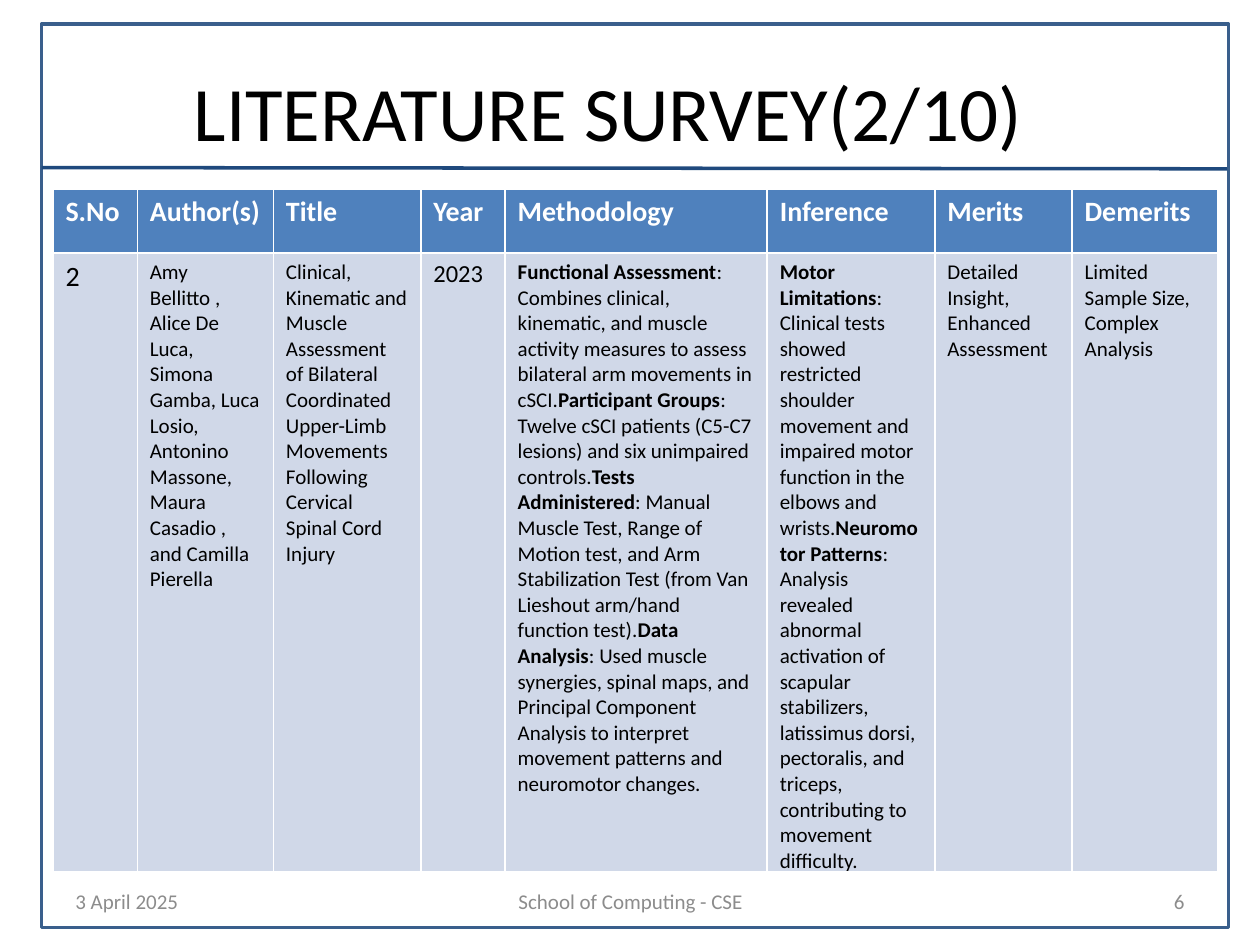
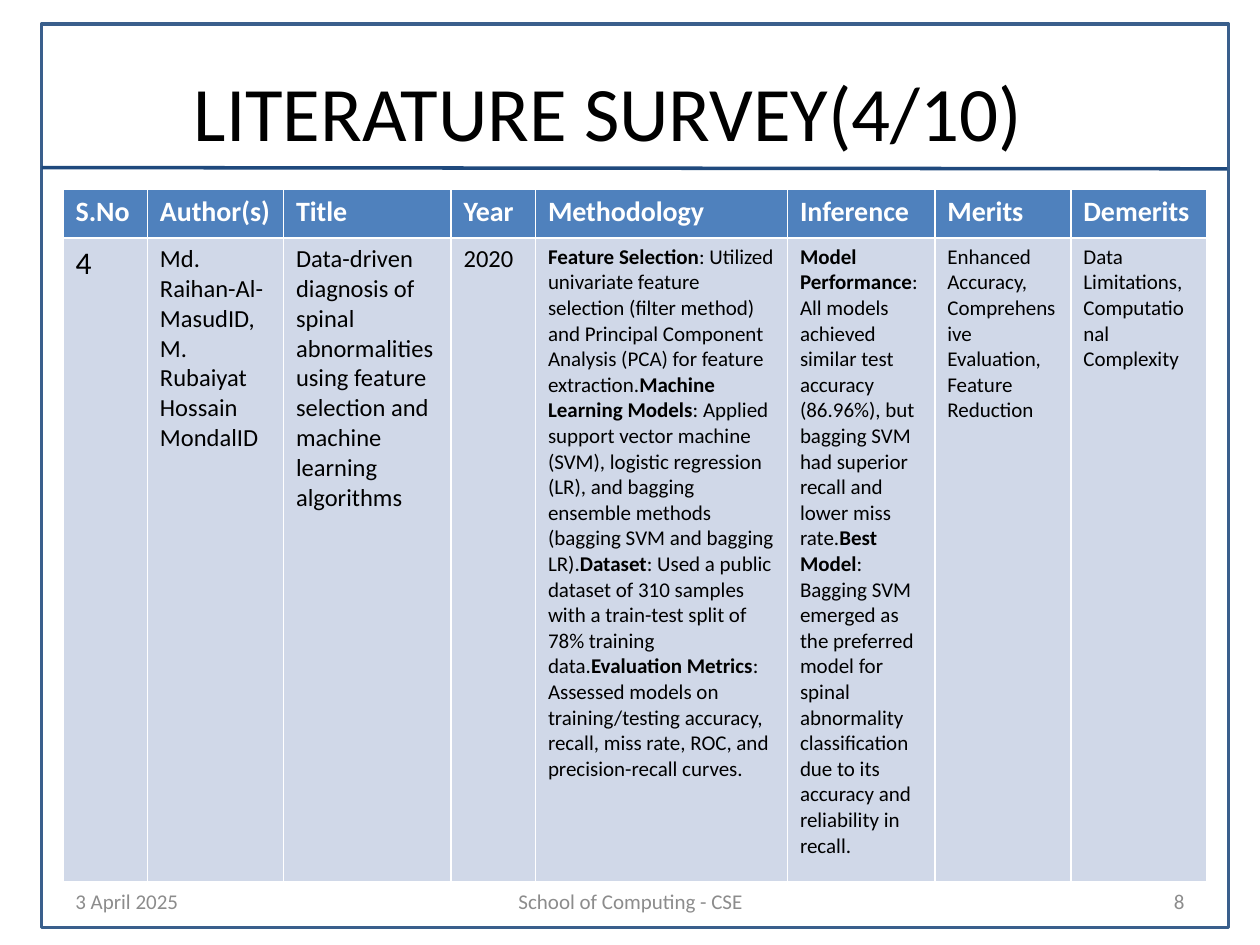
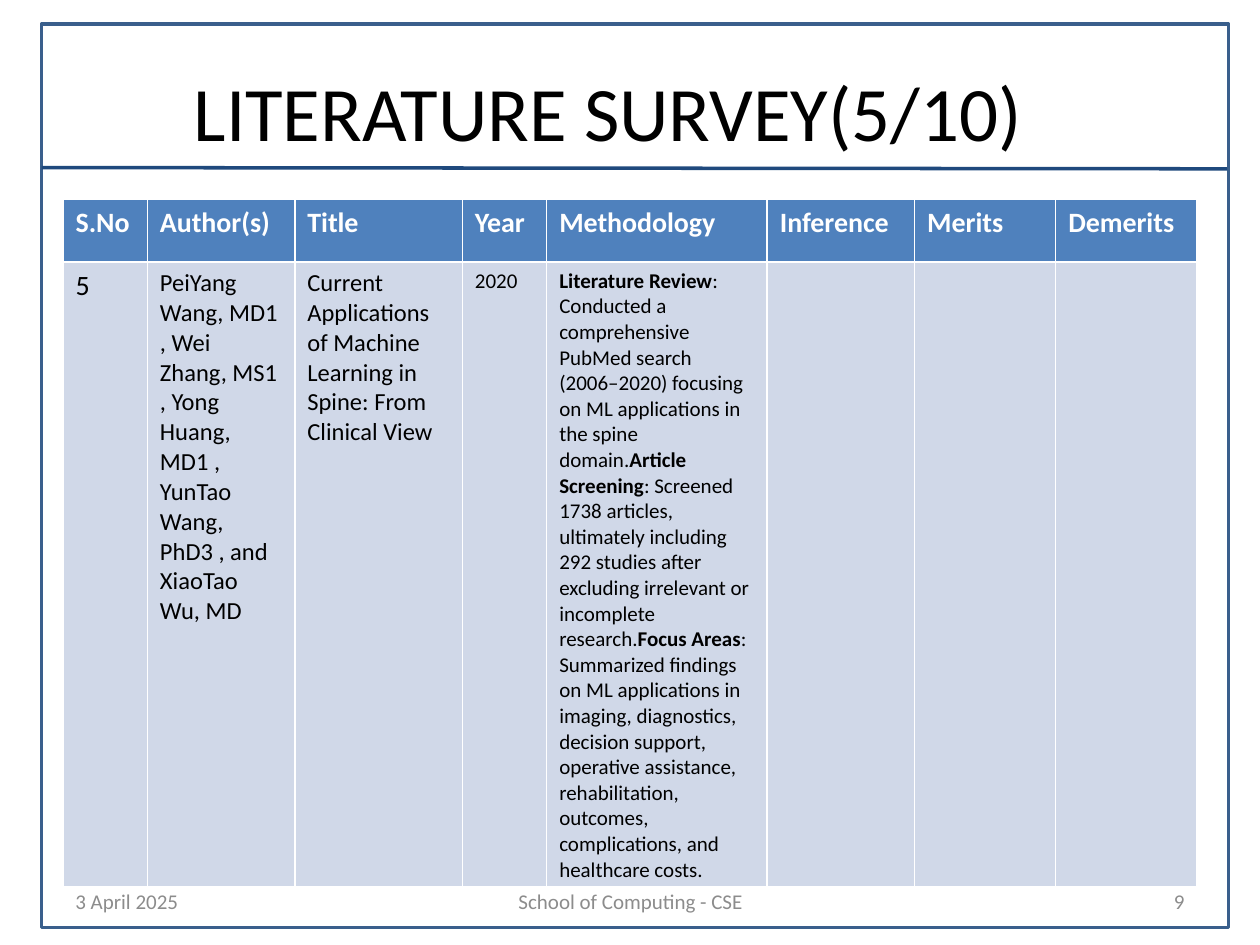
from lxml import etree
from pptx import Presentation
from pptx.dml.color import RGBColor
from pptx.enum.shapes import MSO_CONNECTOR, MSO_SHAPE
from pptx.enum.text import MSO_ANCHOR, PP_ALIGN
from pptx.oxml.ns import qn
from pptx.util import Inches, Pt

LEFT, CENTER, RIGHT = PP_ALIGN.LEFT, PP_ALIGN.CENTER, PP_ALIGN.RIGHT
MIDDLE = MSO_ANCHOR.MIDDLE
RECTANGLE = MSO_SHAPE.RECTANGLE
STRAIGHT = MSO_CONNECTOR.STRAIGHT

FONT = "Calibri"
FRAME_BLUE = "3A5F8C"
RULE_BLUE = "1F497D"
HEADER_FILL = "4F81BD"
BODY_FILL = "D0D8E8"
WHITE = "FFFFFF"
BLACK = "000000"
GREY = "8C8C8C"

HEADINGS = ["S.No", "Author(s)", "Title", "Year", "Methodology", "Inference", "Merits", "Demerits"]

SURVEYS = [
    {
        "title": "LITERATURE SURVEY(2/10)",
        "number": "6",
        "at": (0.42, 1.5),
        "columns": [0.67, 1.08, 1.17, 0.67, 2.08, 1.33, 1.09, 1.16],
        "rows": [0.51, 4.91],
        "sizes": [16, 12, 12, 14, 12, 12, 12, 12],
        "entry": [
            "2",
            "Amy Bellitto , Alice De Luca, Simona Gamba, Luca Losio, Antonino Massone, "
            "Maura Casadio , and Camilla Pierella",
            "Clinical, Kinematic and Muscle Assessment of Bilateral Coordinated Upper-Limb "
            "Movements Following Cervical Spinal Cord Injury",
            "2023",
            "**Functional Assessment**: Combines clinical, kinematic, and muscle activity "
            "measures to assess bilateral arm movements in cSCI."
            "**Participant Groups**: Twelve cSCI patients (C5-C7 lesions) and six unimpaired controls."
            "**Tests Administered**: Manual Muscle Test, Range of Motion test, and Arm "
            "Stabilization Test (from Van Lieshout arm/hand function test)."
            "**Data Analysis**: Used muscle synergies, spinal maps, and Principal Component "
            "Analysis to interpret movement patterns and neuromotor changes.",
            "**Motor Limitations**: Clinical tests showed restricted shoulder movement and "
            "impaired motor function in the elbows and wrists."
            "**Neuromotor Patterns**: Analysis revealed abnormal activation of scapular "
            "stabilizers, latissimus dorsi, pectoralis, and triceps, contributing to movement difficulty.",
            "Detailed Insight,\nEnhanced Assessment",
            "Limited Sample Size,\nComplex Analysis",
        ],
    },
    {
        "title": "LITERATURE SURVEY(4/10)",
        "number": "8",
        "at": (0.5, 1.5),
        "columns": [0.67, 1.08, 1.33, 0.67, 2, 1.17, 1.08, 1.08],
        "rows": [0.39, 5.11],
        "sizes": [18, 14, 14, 14, 12, 12, 12, 12],
        "entry": [
            "4",
            "Md. Raihan-Al-MasudID, M. Rubaiyat Hossain MondalID",
            "Data-driven diagnosis of spinal abnormalities using feature selection and "
            "machine learning algorithms",
            "2020",
            "**Feature Selection**: Utilized univariate feature selection (filter method) and "
            "Principal Component Analysis (PCA) for feature extraction."
            "**Machine Learning Models**: Applied support vector machine (SVM), logistic "
            "regression (LR), and bagging ensemble methods (bagging SVM and bagging LR)."
            "**Dataset**: Used a public dataset of 310 samples with a train-test split of "
            "78% training data."
            "**Evaluation Metrics**: Assessed models on training/testing accuracy, recall, "
            "miss rate, ROC, and precision-recall curves.",
            "**Model Performance**: All models achieved similar test accuracy (86.96%), but "
            "bagging SVM had superior recall and lower miss rate."
            "**Best Model**: Bagging SVM emerged as the preferred model for spinal abnormality "
            "classification due to its accuracy and reliability in recall.",
            "Enhanced Accuracy,\nComprehensive Evaluation,\nFeature Reduction",
            "Data Limitations,\nComputational Complexity",
        ],
    },
    {
        "title": "LITERATURE SURVEY(5/10)",
        "number": "9",
        "at": (0.5, 1.58),
        "columns": [0.67, 1.17, 1.33, 0.67, 1.75, 1.17, 1.12, 1.12],
        "rows": [0.5, 4.96],
        "sizes": [16, 14, 14, 12, 12, 12, 12, 12],
        "entry": [
            "5",
            "PeiYang Wang, MD1 , Wei Zhang, MS1 , Yong Huang, MD1 , YunTao Wang, PhD3 , "
            "and XiaoTao Wu, MD",
            "Current Applications of Machine Learning in Spine: From Clinical View",
            "2020",
            "**Literature Review**: Conducted a comprehensive PubMed search (2006–2020) "
            "focusing on ML applications in the spine domain."
            "**Article Screening**: Screened 1738 articles, ultimately including 292 studies "
            "after excluding irrelevant or incomplete research."
            "**Focus Areas**: Summarized findings on ML applications in imaging, diagnostics, "
            "decision support, operative assistance, rehabilitation, outcomes, complications, "
            "and healthcare costs.",
            "",
            "",
            "",
        ],
    },
]


def color(value):
    return RGBColor.from_string(value)


def write(text_frame, text, size, fill, align=LEFT):
    for index, line in enumerate(text.split("\n")):
        para = text_frame.add_paragraph() if index else text_frame.paragraphs[0]
        para.alignment = align
        para.font.size = Pt(size)
        for part, words in enumerate(line.split("**")):
            if words:
                span = para.add_run()
                span.text = words
                span.font.name = FONT
                span.font.size = Pt(size)
                span.font.bold = part % 2 == 1
                span.font.color.rgb = color(fill)


deck = Presentation()
deck.slide_width = Inches(10)
deck.slide_height = Inches(7.5)

for survey in SURVEYS:
    page = deck.slides.add_slide(deck.slide_layouts[6])

    frame = page.shapes.add_shape(RECTANGLE, Inches(0.33), Inches(0.19), Inches(9.42), Inches(7.17))
    frame.shadow.inherit = False
    frame.fill.background()
    frame.line.color.rgb = color(FRAME_BLUE)
    frame.line.width = Pt(2)

    rule = page.shapes.add_connector(STRAIGHT, Inches(0.33), Inches(1.33), Inches(9.74), Inches(1.34))
    rule.line.color.rgb = color(RULE_BLUE)
    rule.line.width = Pt(2)
    etree.SubElement(rule._element.spPr, qn("a:effectLst"))

    labels = [
        (survey["title"], 0.33, 0.25, 9, 1.25, 44, BLACK, CENTER),
        ("3 April 2025", 0.5, 6.95, 2.33, 0.4, 12, GREY, LEFT),
        ("School of Computing - CSE", 3.42, 6.95, 3.17, 0.4, 12, GREY, CENTER),
        (survey["number"], 7.17, 6.95, 2.33, 0.4, 12, GREY, RIGHT),
    ]
    for text, left, top, width, height, size, fill, align in labels:
        box = page.shapes.add_textbox(Inches(left), Inches(top), Inches(width), Inches(height))
        box.text_frame.word_wrap = True
        box.text_frame.vertical_anchor = MIDDLE
        write(box.text_frame, text, size, fill, align)

    left, top = survey["at"]
    table = page.shapes.add_table(
        2, len(HEADINGS), Inches(left), Inches(top),
        Inches(sum(survey["columns"])), Inches(sum(survey["rows"])),
    ).table
    for row, height in zip(table.rows, survey["rows"]):
        row.height = Inches(height)
    for index, width in enumerate(survey["columns"]):
        table.columns[index].width = Inches(width)
        header, body = table.cell(0, index), table.cell(1, index)
        for cell, fill in ((header, HEADER_FILL), (body, BODY_FILL)):
            cell.fill.solid()
            cell.fill.fore_color.rgb = color(fill)
        write(header.text_frame, f"**{HEADINGS[index]}**", 16, WHITE)
        write(body.text_frame, survey["entry"][index], survey["sizes"][index], BLACK)

deck.save("out.pptx")
